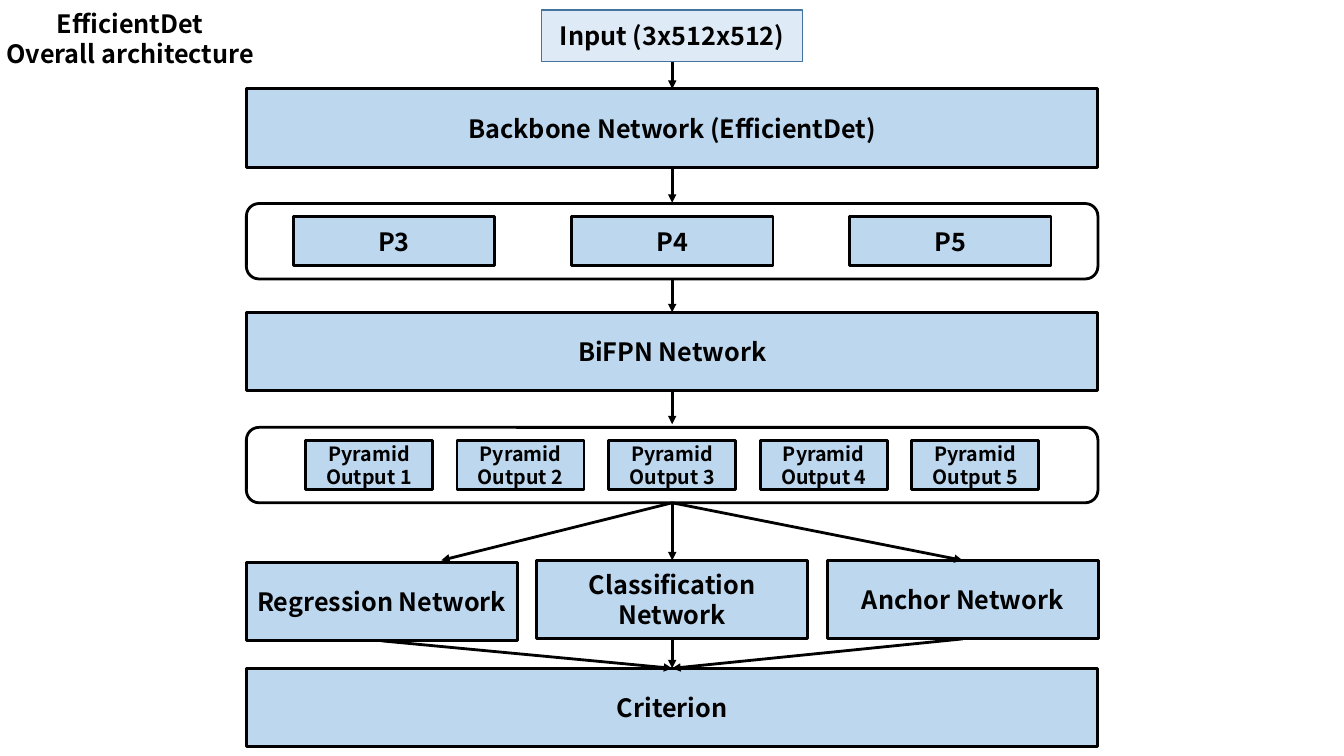
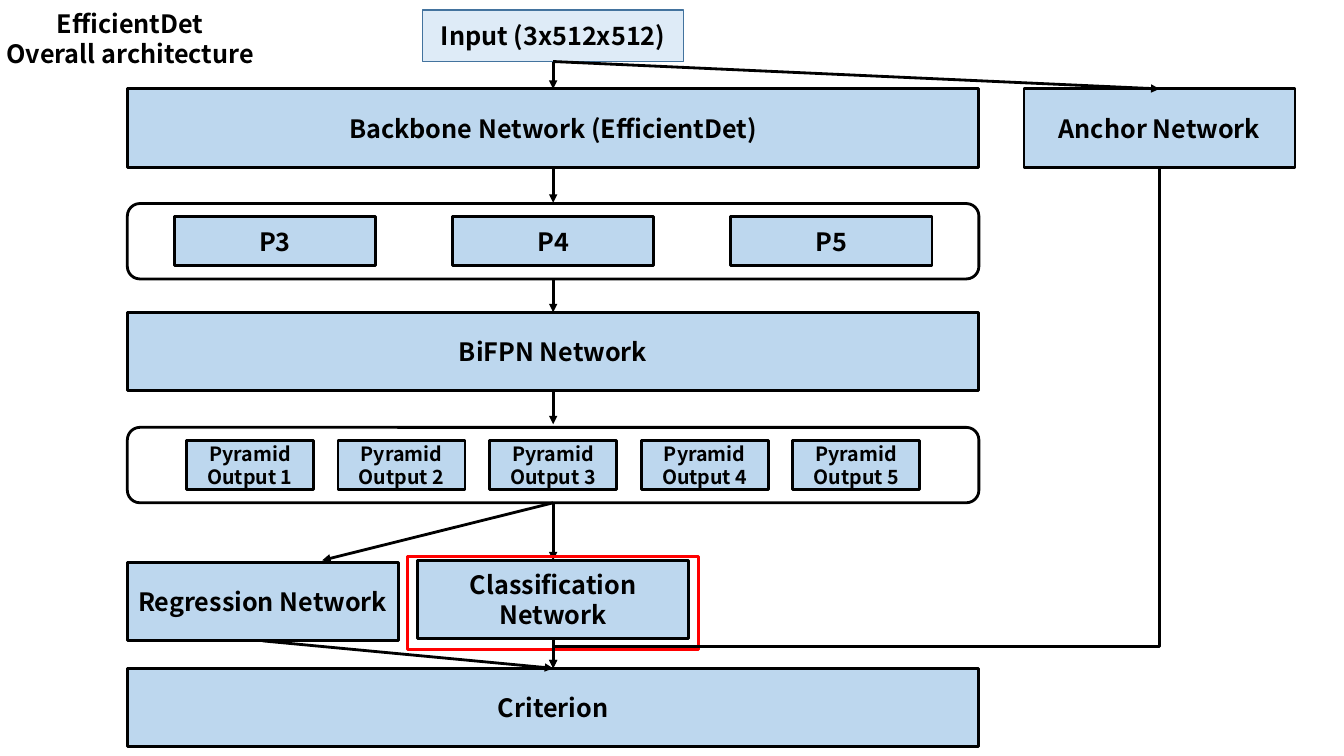
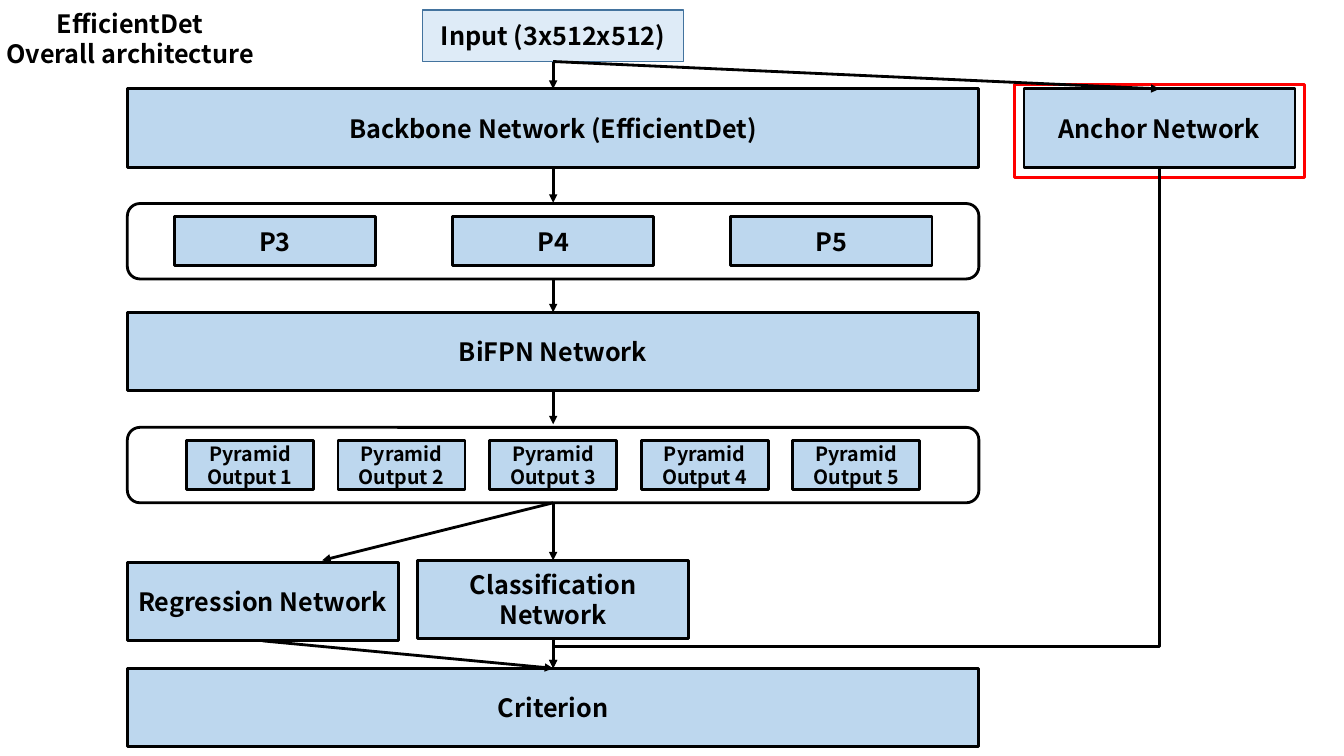
from dataclasses import dataclass
from typing import Any

from lxml.etree import SubElement
from pptx import Presentation
from pptx.dml.color import RGBColor
from pptx.enum.shapes import MSO_CONNECTOR, MSO_SHAPE
from pptx.enum.text import MSO_ANCHOR, PP_ALIGN
from pptx.oxml.ns import qn
from pptx.util import Cm, Pt

COLORS = {
    "ink": "000000",
    "block": "BDD7EE",
    "input": "DEEBF7",
    "input_edge": "43739E",
    "highlight": "FF0000",
}
FONT = {"name": "Noto Sans CJK KR", "bold": True}

BLOCK_WIDTH, BLOCK_HEIGHT = 21.46, 1.98
HEAD_WIDTH, HEAD_PITCH = 6.83, 7.32
BACKBONE_TOP, BIFPN_TOP, CRITERION_TOP = 2.24, 7.87, 16.84
INPUT_TOP, INPUT_HEIGHT = 0.25, 1.3
LEVELS_TOP, OUTPUTS_TOP, TRAY_HEIGHT = 5.13, 10.77, 1.9
TRAY_PADDING, CELL_HEIGHT = 0.33, 1.24
HEAD_TOP, REGRESSION_TOP = 14.12, 14.17
MERGE_Y = 16.3


@dataclass(frozen=True)
class Block:
    center: float
    top: float
    width: float = BLOCK_WIDTH
    height: float = BLOCK_HEIGHT
    label: str = ""
    size: int = 18
    fill: str | None = "block"
    edge: str = "ink"
    weight: float = 2
    outline: MSO_SHAPE = MSO_SHAPE.RECTANGLE

    @property
    def bottom(self) -> float:
        return self.top + self.height


@dataclass(frozen=True)
class Diagram:
    axis: float
    anchor_center: float
    anchor_top: float
    highlighted: str = ""

    @property
    def anchor_beside(self) -> bool:
        return self.anchor_top == BACKBONE_TOP


DIAGRAMS = [
    Diagram(16.94, 16.94 + HEAD_PITCH, HEAD_TOP),
    Diagram(13.94, 29.22, BACKBONE_TOP, "Classification Network"),
    Diagram(13.94, 29.22, BACKBONE_TOP, "Anchor Network"),
]


def color(key: str) -> RGBColor:
    return RGBColor.from_string(COLORS[key])


def write(frame: Any, lines: list[str], size: int) -> None:
    frame.word_wrap = True
    for index, line in enumerate(lines):
        paragraph = frame.paragraphs[0] if index == 0 else frame.add_paragraph()
        paragraph.alignment = PP_ALIGN.CENTER
        run = paragraph.add_run()
        run.text = line
        for attribute, value in {**FONT, "size": Pt(size)}.items():
            setattr(run.font, attribute, value)
        run.font.color.rgb = color("ink")


def draw_block(shapes: Any, block: Block) -> None:
    shape = shapes.add_shape(
        block.outline, Cm(block.center - block.width / 2), Cm(block.top),
        Cm(block.width), Cm(block.height))
    shape.shadow.inherit = False
    if block.fill:
        shape.fill.solid()
        shape.fill.fore_color.rgb = color(block.fill)
    else:
        shape.fill.background()
    shape.line.color.rgb = color(block.edge)
    shape.line.width = Pt(block.weight)
    if block.label:
        shape.text_frame.vertical_anchor = MSO_ANCHOR.MIDDLE
        write(shape.text_frame, [block.label], block.size)


def draw_arrow(shapes: Any, x1: float, y1: float, x2: float, y2: float,
               kind: MSO_CONNECTOR = MSO_CONNECTOR.STRAIGHT) -> Any:
    arrow = shapes.add_connector(kind, Cm(x1), Cm(y1), Cm(x2), Cm(y2))
    arrow.line.color.rgb = color("ink")
    arrow.line.width = Pt(2)
    SubElement(arrow.line._get_or_add_ln(), qn("a:tailEnd"), type="triangle")
    SubElement(arrow._element.spPr, qn("a:effectLst"))
    return arrow


def draw_elbow(shapes: Any, x1: float, y1: float, x2: float, y2: float,
               bend_y: float) -> None:
    drop, spread = y2 - y1, x1 - x2
    left = (x1 + x2 - drop) / 2
    top = (y1 + y2 - spread) / 2
    elbow = draw_arrow(shapes, left, top, left + drop, top + spread,
                       MSO_CONNECTOR.ELBOW)
    properties = elbow._element.spPr
    properties.find(qn("a:xfrm")).set("rot", str(90 * 60000))
    geometry = properties.find(qn("a:prstGeom"))
    adjustments = geometry.find(qn("a:avLst"))
    if adjustments is None:
        adjustments = SubElement(geometry, qn("a:avLst"))
    bend = round((bend_y - y1) / drop * 100000)
    SubElement(adjustments, qn("a:gd"), name="adj1", fmla=f"val {bend}")


def draw_tray(shapes: Any, axis: float, top: float, labels: list[str],
              width: float, pitch: float, size: int) -> None:
    tray = shapes.add_group_shape().shapes
    draw_block(tray, Block(axis, top, height=TRAY_HEIGHT, fill=None,
                           outline=MSO_SHAPE.ROUNDED_RECTANGLE))
    for index, label in enumerate(labels):
        center = axis + (index - (len(labels) - 1) / 2) * pitch
        draw_block(tray, Block(center, top + TRAY_PADDING, width, CELL_HEIGHT,
                               label, size))


def draw_title(shapes: Any) -> None:
    title = shapes.add_textbox(Cm(-2.03), Cm(0.08), Cm(10.62), Cm(1.8))
    write(title.text_frame, ["EfficientDet", "Overall architecture"], 18)


def draw_diagram(shapes: Any, diagram: Diagram) -> None:
    axis, anchor_center = diagram.axis, diagram.anchor_center
    regression = Block(axis - HEAD_PITCH, REGRESSION_TOP, HEAD_WIDTH,
                       label="Regression Network")
    classification = Block(axis, HEAD_TOP, HEAD_WIDTH,
                           label="Classification Network")
    anchor = Block(anchor_center, diagram.anchor_top, HEAD_WIDTH,
                   label="Anchor Network")
    heads = [regression, classification, anchor]
    input_bottom = INPUT_TOP + INPUT_HEIGHT
    outputs_bottom = OUTPUTS_TOP + TRAY_HEIGHT

    for block in [
        Block(axis, INPUT_TOP, 6.58, INPUT_HEIGHT, "Input (3x512x512)",
              fill="input", edge="input_edge", weight=1),
        Block(axis, BACKBONE_TOP, label="Backbone Network (EfficientDet)"),
        Block(axis, BIFPN_TOP, label="BiFPN Network"),
        *heads,
        Block(axis, CRITERION_TOP, label="Criterion"),
    ]:
        draw_block(shapes, block)

    draw_tray(shapes, axis, LEVELS_TOP, [f"P{n}" for n in range(3, 6)],
              5.08, 7.01, 18)
    draw_tray(shapes, axis, OUTPUTS_TOP,
              [f"Pyramid Output {n}" for n in range(1, 6)], 3.2, 3.82, 14)

    for start, end in [
        (input_bottom, BACKBONE_TOP),
        (4.27, 5.11),
        (LEVELS_TOP + TRAY_HEIGHT, BIFPN_TOP),
        (BIFPN_TOP + BLOCK_HEIGHT, 10.69),
        (outputs_bottom, HEAD_TOP),
        (classification.bottom, CRITERION_TOP),
    ]:
        draw_arrow(shapes, axis, start, axis, end)
    draw_arrow(shapes, axis, outputs_bottom, axis - 5.82, HEAD_TOP)
    draw_arrow(shapes, regression.center, regression.bottom, axis, CRITERION_TOP)

    draw_title(shapes)
    for head in heads:
        if head.label == diagram.highlighted:
            draw_block(shapes, Block(head.center, head.top - 0.1, 7.32, 2.34,
                                     fill=None, edge="highlight"))

    if diagram.anchor_beside:
        draw_arrow(shapes, axis, input_bottom, anchor_center, anchor.top)
        draw_elbow(shapes, anchor_center, anchor.bottom, axis, CRITERION_TOP,
                   MERGE_Y)
    else:
        draw_arrow(shapes, axis, outputs_bottom, anchor_center, anchor.top)
        draw_arrow(shapes, anchor_center, anchor.bottom, axis, CRITERION_TOP)


def main() -> None:
    presentation = Presentation()
    presentation.slide_width = Cm(33.87)
    presentation.slide_height = Cm(19.05)
    for diagram in DIAGRAMS:
        slide = presentation.slides.add_slide(presentation.slide_layouts[6])
        draw_diagram(slide.shapes, diagram)
    presentation.save("out.pptx")


if __name__ == "__main__":
    main()
